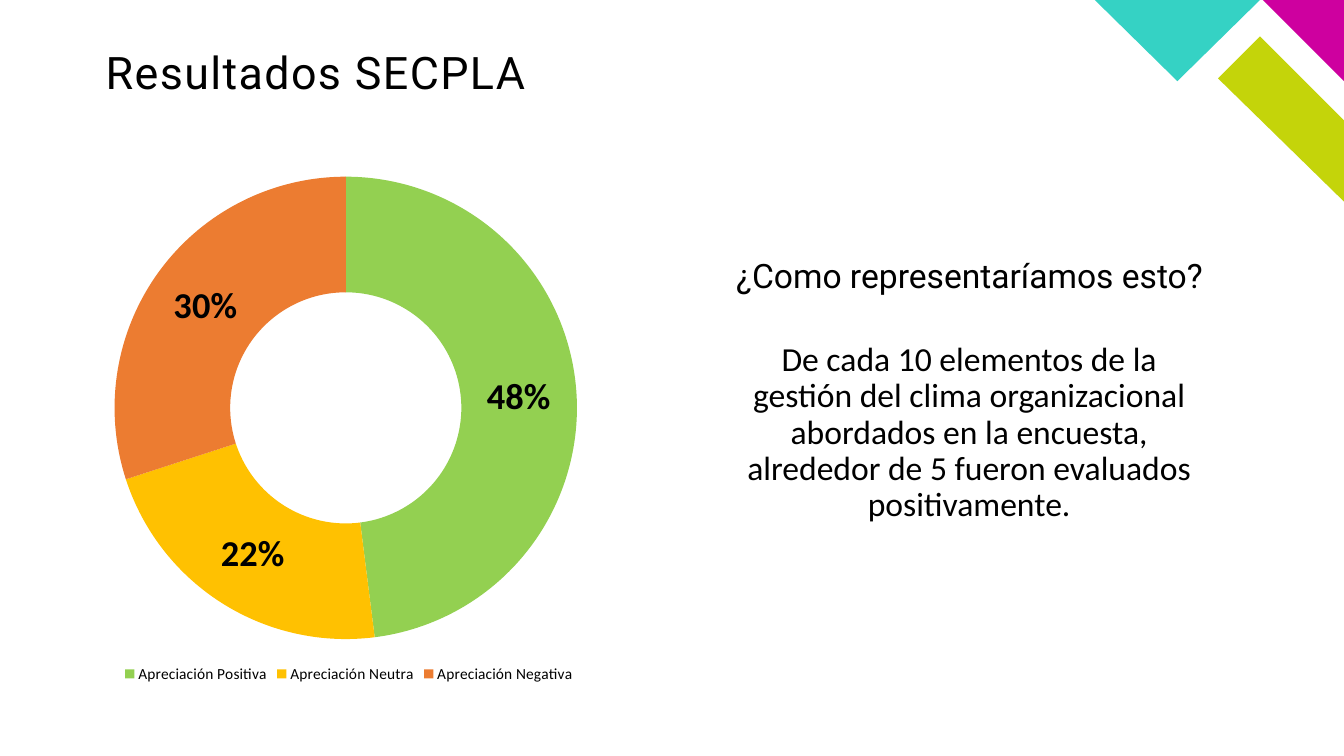
from lxml.etree import SubElement
from pptx import Presentation
from pptx.chart.data import CategoryChartData
from pptx.dml.color import RGBColor
from pptx.enum.chart import XL_CHART_TYPE, XL_LEGEND_POSITION
from pptx.enum.text import MSO_ANCHOR, MSO_AUTO_SIZE, PP_ALIGN
from pptx.oxml.ns import qn
from pptx.util import Pt

BLACK = RGBColor(0x00, 0x00, 0x00)
LIME = RGBColor(0xC4, 0xD4, 0x0A)
MAGENTA = RGBColor(0xCE, 0x00, 0x9F)
TEAL = RGBColor(0x35, 0xD2, 0xC4)
GREEN = RGBColor(0x93, 0xD0, 0x51)
AMBER = RGBColor(0xFF, 0xC1, 0x01)
ORANGE = RGBColor(0xEC, 0x7C, 0x31)

CORNER_PIECES = [
    (LIME, [(177.5, 144.5), (177.5, 85.5), (118, 26.5), (88, 56)]),
    (MAGENTA, [(177.5, 57.5), (177.5, 0), (119.5, 0)]),
    (TEAL, [(0, 0), (58.5, 57.5), (117, 0)]),
]
RATINGS = [
    ("Apreciación Positiva", 0.48, GREEN),
    ("Apreciación Neutra", 0.22, AMBER),
    ("Apreciación Negativa", 0.30, ORANGE),
]
PLOT_LAYOUT = {"layoutTarget": "inner", "xMode": "edge", "yMode": "edge",
               "x": 0.053, "y": 0.026, "w": 0.882, "h": 0.882}


def apply_format(target, values):
    for name, value in values.items():
        setattr(target, name, value)


def format_font(font, **values):
    apply_format(font, values)
    font.color.rgb = BLACK


def place(shape, box):
    left, top, width, height = box
    apply_format(shape, {"left": Pt(left), "top": Pt(top),
                         "width": Pt(width), "height": Pt(height)})


def add_corner(slide, left, top):
    for color, points in CORNER_PIECES:
        corners = [(left + x, top + y) for x, y in points]
        builder = slide.shapes.build_freeform(*corners[0], scale=Pt(1))
        builder.add_line_segments(corners[1:], close=True)
        shape = builder.convert_to_shape()
        shape.shadow.inherit = False
        shape.fill.solid()
        shape.fill.fore_color.rgb = color
        shape.line.fill.background()


def write_text(placeholder, box, text, font_values, frame_values, paragraph_values):
    place(placeholder, box)
    frame = placeholder.text_frame
    frame.text = text
    apply_format(frame, {"word_wrap": True, "auto_size": MSO_AUTO_SIZE.NONE, **frame_values})
    paragraph = frame.paragraphs[0]
    apply_format(paragraph, {"line_spacing": 0.9, "space_before": Pt(0), **paragraph_values})
    run = paragraph.runs[0]
    format_font(run.font, **font_values)
    return run


def write_title(placeholder, box):
    margins = {f"margin_{side}": 0 for side in ("left", "top", "right", "bottom")}
    run = write_text(placeholder, box, "Resultados SECPLA",
                     {"name": "Roboto", "size": Pt(32)},
                     {**margins, "vertical_anchor": MSO_ANCHOR.TOP},
                     {"alignment": PP_ALIGN.LEFT})
    run._r.get_or_add_rPr().set("spc", "100")


def write_body(placeholder, box, text, font_name):
    write_text(placeholder, box, text,
               {"name": font_name, "size": Pt(24), "bold": False},
               {"vertical_anchor": MSO_ANCHOR.MIDDLE},
               {"alignment": PP_ALIGN.CENTER})


def set_plot_layout(chart):
    plot_area = chart._chartSpace.chart.plotArea
    for layout in plot_area.findall(qn("c:layout")):
        plot_area.remove(layout)
    layout = SubElement(plot_area, qn("c:layout"))
    plot_area.insert(0, layout)
    manual = SubElement(layout, qn("c:manualLayout"))
    for name, value in PLOT_LAYOUT.items():
        SubElement(manual, qn(f"c:{name}")).set("val", str(value))


def add_ratings_chart(slide, box):
    data = CategoryChartData(number_format="0%")
    data.categories = [name for name, value, color in RATINGS]
    data.add_series("Series 1", [value for name, value, color in RATINGS])
    chart = slide.shapes.add_chart(XL_CHART_TYPE.DOUGHNUT, *map(Pt, box), data).chart
    chart.has_title = False
    format_font(chart.font, name="Calibri", size=Pt(18))
    chart.has_legend = True
    apply_format(chart.legend, {"position": XL_LEGEND_POSITION.BOTTOM, "include_in_layout": False})
    format_font(chart.legend.font, name="Calibri", size=Pt(11))
    plot = chart.plots[0]
    apply_format(plot, {"vary_by_categories": True, "has_data_labels": True})
    labels = plot.data_labels
    apply_format(labels, {"show_value": True, "show_percentage": False,
                          "number_format": "0%", "number_format_is_linked": False})
    format_font(labels.font, name="Calibri", size=Pt(26), bold=True)
    for index, (name, value, color) in enumerate(RATINGS):
        point = plot.series[0].points[index].format
        point.fill.solid()
        point.fill.fore_color.rgb = color
        point.line.fill.background()
    set_plot_layout(chart)


def build_results_slide(presentation):
    slide = presentation.slides.add_slide(presentation.slide_layouts[4])
    holders = {holder.placeholder_format.idx: holder for holder in slide.placeholders}
    write_title(holders[0], (75.5, 36, 720, 48))
    write_body(holders[3], (517, 221, 350.5, 177),
               "De cada 10 elementos de la gestión del clima organizacional abordados "
               "en la encuesta, alrededor de 5 fueron evaluados positivamente.", "Calibri")
    write_body(holders[1], (512.5, 167, 360, 62.5), "¿Como representaríamos esto?", "Roboto")
    for index, holder in holders.items():
        if index not in (0, 1, 3):
            holder.element.getparent().remove(holder.element)
    add_corner(slide, 782.5, 0)
    add_ratings_chart(slide, (62, 116.5, 374.5, 374.5))


def main():
    presentation = Presentation()
    apply_format(presentation, {"slide_width": Pt(960), "slide_height": Pt(540)})
    build_results_slide(presentation)
    presentation.save("out.pptx")


if __name__ == "__main__":
    main()
